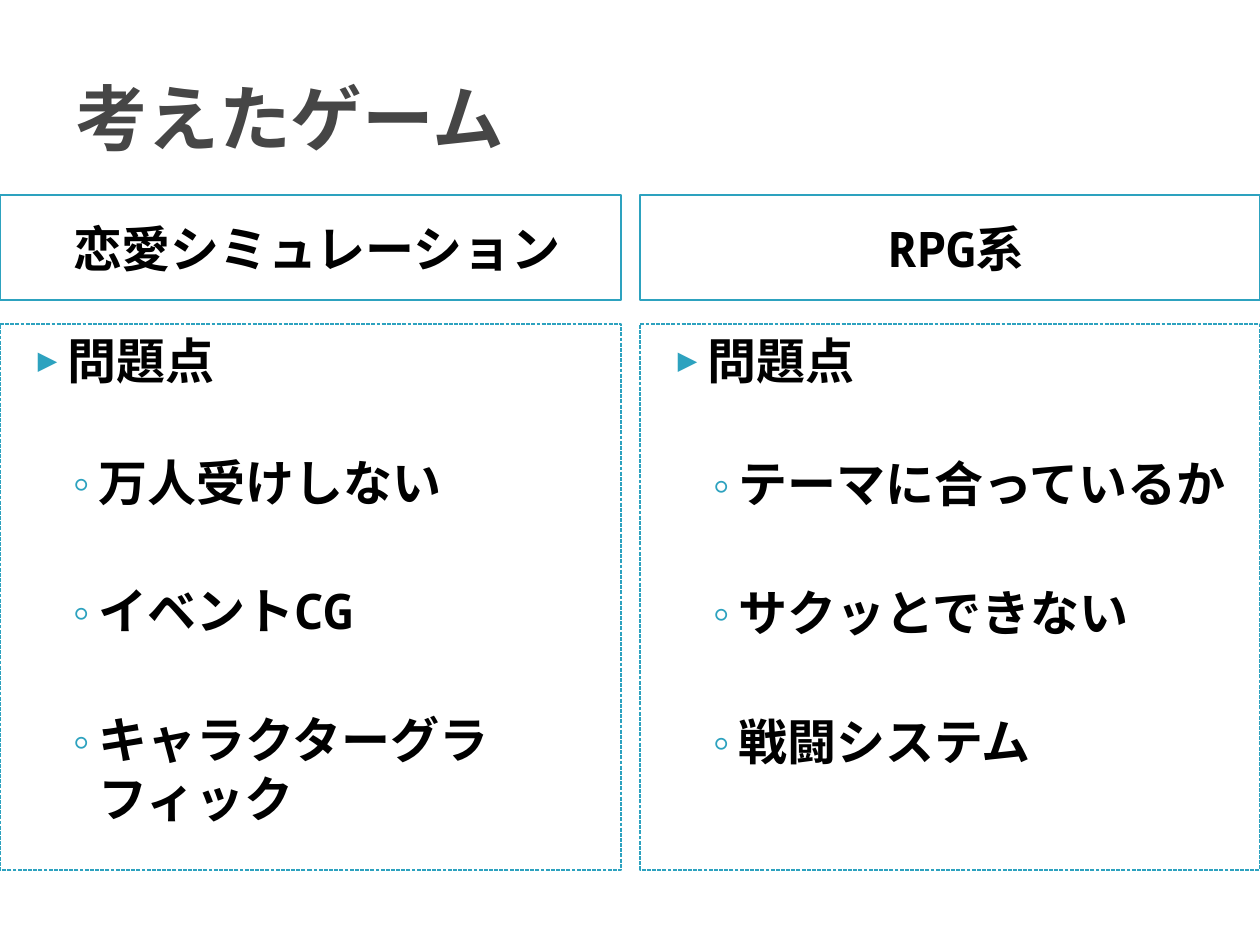
"""Build a slide comparing the problems of two game ideas."""
from lxml import etree
from pptx import Presentation, util as u
from pptx.dml.color import RGBColor
from pptx.enum import dml, text
from pptx.oxml.ns import qn

PX = 914400 // 126
THEME = dict(font="Noto Sans Mono", title="464646", ink="000000", accent="2DA2BF",
             title_size=41, text_size=28)
BULLETS = [("▶", 68, 50, 35), ("◦", 100, 86, 32)]
COLUMNS = [
    (0, 621, "恋愛シミュレーション", 36,
     ["問題点", "万人受けしない", "イベントCG", "キャラクターグラフィック"]),
    (640, 620, "RPG系", 37,
     ["問題点", "テーマに合っているか", "サクッとできない", "戦闘システム"]),
]


def place(sp, left, top, width, height, anchor):
    sp.left, sp.top, sp.width, sp.height = [v * PX for v in (left, top, width, height)]
    tf = sp.text_frame
    tf.word_wrap = True
    tf.auto_size = text.MSO_AUTO_SIZE.NONE
    tf.vertical_anchor = anchor
    return tf


def style(p, size, color):
    for r in p.runs:
        r.font.name = THEME["font"]
        r.font.size = u.Pt(size)
        r.font.bold = True
        r.font.color.rgb = RGBColor.from_string(color)
        etree.SubElement(r.font._element, qn("a:ea"), typeface=THEME["font"])


prs = Presentation()
prs.slide_width, prs.slide_height = u.Inches(10), u.Inches(7.5)
s = prs.slides.add_slide(prs.slide_layouts[4])
title, *boxes = s.placeholders

tf = place(title, 63, 38, 1134, 157, text.MSO_ANCHOR.MIDDLE)
tf.text = "考えたゲーム"
tf.paragraphs[0].alignment = text.PP_ALIGN.LEFT
style(tf.paragraphs[0], THEME["title_size"], THEME["title"])

for sp in boxes:
    sp.line.color.rgb = RGBColor.from_string(THEME["accent"])
    sp.line.width = u.Pt(0.75)

for (left, width, heading, first_gap, items), header, body in zip(COLUMNS, boxes[::2], boxes[1::2]):
    tf = place(header, left, 195, width, 105, text.MSO_ANCHOR.MIDDLE)
    tf.margin_left = 25 * PX
    tf.text = heading
    p = tf.paragraphs[0]
    p.alignment = text.PP_ALIGN.CENTER
    p.space_before = u.Pt(4)
    style(p, THEME["text_size"], THEME["ink"])

    body.line.dash_style = dml.MSO_LINE.SQUARE_DOT
    tf = place(body, left, 324, width, 546, text.MSO_ANCHOR.TOP)
    tf.text = "\n".join(items)
    for p, gap in zip(tf.paragraphs, [0, first_gap, 40, 40]):
        p.level = 1 if gap else 0
        p.space_before = u.Pt(gap)
        style(p, THEME["text_size"], THEME["ink"])
        char, percent, margin, hang = BULLETS[p.level]
        pPr = p._p.get_or_add_pPr()
        pPr.set("marL", str(margin * PX))
        pPr.set("indent", str(-hang * PX))
        color = etree.SubElement(pPr, qn("a:buClr"))
        etree.SubElement(color, qn("a:srgbClr"), val=THEME["accent"])
        etree.SubElement(pPr, qn("a:buSzPct"), val=str(percent * 1000))
        etree.SubElement(pPr, qn("a:buFont"), typeface=THEME["font"])
        etree.SubElement(pPr, qn("a:buChar"), char=char)

prs.save("out.pptx")
